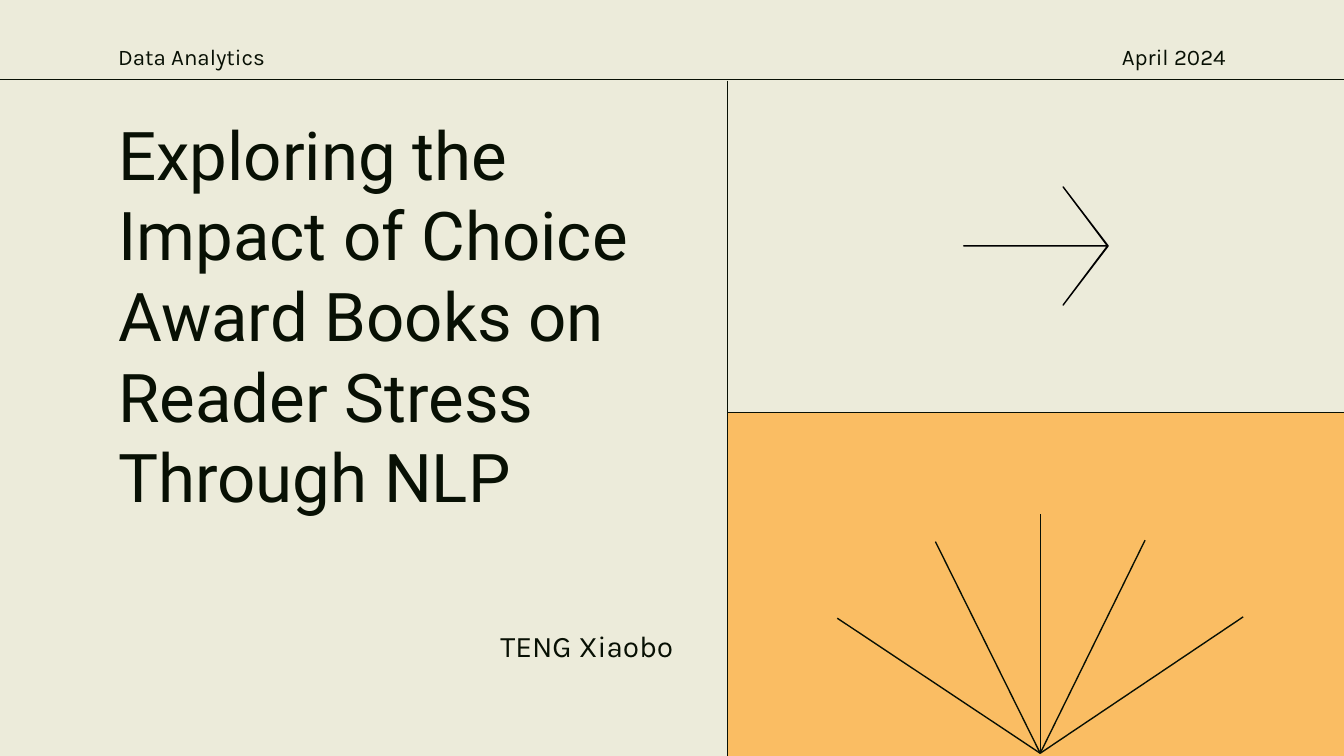
"""Build a title slide with a split panel, an arrow and a fan of rays."""
from dataclasses import dataclass
from typing import Any

from lxml import etree
from pptx import Presentation
from pptx.dml.color import RGBColor
from pptx.enum.shapes import MSO_CONNECTOR, MSO_SHAPE
from pptx.enum.text import MSO_ANCHOR, MSO_AUTO_SIZE, PP_ALIGN
from pptx.oxml.ns import qn
from pptx.util import Pt

PX = 4572
WIDE, HIGH = 2000, 1125
LEFT, RIGHT = PP_ALIGN.LEFT, PP_ALIGN.RIGHT
TOP, MID, LOW = MSO_ANCHOR.TOP, MSO_ANCHOR.MIDDLE, MSO_ANCHOR.BOTTOM
FIT_NONE = MSO_AUTO_SIZE.NONE
RECT = MSO_SHAPE.RECTANGLE
STRAIGHT = MSO_CONNECTOR.STRAIGHT


@dataclass(frozen=True)
class Theme:
    ground: RGBColor = RGBColor(0xEC, 0xEB, 0xDA)
    ink: RGBColor = RGBColor(0x08, 0x10, 0x04)
    panel: RGBColor = RGBColor(0xFA, 0xBD, 0x63)
    arrow: RGBColor = RGBColor(0, 0, 0)
    head: str = "Roboto"
    body: str = "Karla"
    title: int = 36
    name: int = 16
    label: int = 12
    rule: float = 0.75


@dataclass(frozen=True)
class Box:
    x: int
    y: int
    w: int
    h: int

    def emu(self) -> tuple[int, int, int, int]:
        return self.x * PX, self.y * PX, self.w * PX, self.h * PX


@dataclass(frozen=True)
class Note:
    text: str
    box: Box
    font: str
    size: int
    align: PP_ALIGN
    anchor: MSO_ANCHOR


@dataclass(frozen=True)
class Line:
    x1: int
    y1: int
    x2: int
    y2: int


THEME = Theme()
SPLIT, FLOOR, INSET = 1083, 614, 20
TITLE = Note("Exploring the Impact of Choice Award Books on Reader Stress Through NLP",
             Box(156, 148, 824, 678), THEME.head, THEME.title, LEFT, TOP)
NAME = Note("TENG Xiaobo", Box(156, 917, 866, 90), THEME.body, THEME.name, RIGHT, LOW)
LABELS = [
    Note("Data Analytics", Box(156, 50, 362, 68), THEME.body, THEME.label, LEFT, MID),
    Note("April 2024", Box(1482, 50, 362, 68), THEME.body, THEME.label, RIGHT, MID),
]
RULES = [
    Line(0, 118, WIDE, 118),
    Line(SPLIT, 120, SPLIT, HIGH),
    Line(SPLIT, FLOOR, WIDE, FLOOR),
]
HUB = (1548, 1121)
TIPS = [(1246, 920), (1392, 806), (1548, 765), (1704, 804), (1850, 918)]
RAYS = [Line(*HUB, *tip) for tip in TIPS]
ARROW = [(1582, 278), (1648, 366), (1434, 366), (1648, 366), (1582, 454), (1649, 366)]


def write(shape: Any, note: Note) -> None:
    """Place a text shape and set its words."""
    shape.left, shape.top, shape.width, shape.height = note.box.emu()
    frame = shape.text_frame
    frame.text = note.text
    frame.word_wrap = True
    frame.auto_size = FIT_NONE
    frame.vertical_anchor = note.anchor
    frame.margin_left = frame.margin_right = INSET * PX
    frame.margin_top = frame.margin_bottom = INSET * PX
    para = frame.paragraphs[0]
    para.alignment = note.align
    para.space_before = Pt(0)
    para.font.name = note.font
    para.font.size = Pt(note.size)
    para.font.color.rgb = THEME.ink


def rule(shapes: Any, line: Line) -> None:
    """Draw one thin straight line."""
    ends = [v * PX for v in (line.x1, line.y1, line.x2, line.y2)]
    link = shapes.add_connector(STRAIGHT, *ends)
    link.line.color.rgb = THEME.ink
    link.line.width = Pt(THEME.rule)
    etree.SubElement(link._element.spPr, qn("a:effectLst"))


def panel(shapes: Any, box: Box) -> None:
    """Draw the plain colour panel."""
    shape = shapes.add_shape(RECT, *box.emu())
    shape.shadow.inherit = False
    shape.fill.solid()
    shape.fill.fore_color.rgb = THEME.panel
    shape.line.fill.background()


def arrow(shapes: Any, points: list[tuple[int, int]]) -> None:
    """Draw the thin arrow as one closed outline."""
    pen = shapes.build_freeform(*points[0], scale=PX)
    pen.add_line_segments(points[1:], close=True)
    shape = pen.convert_to_shape()
    shape.shadow.inherit = False
    shape.fill.solid()
    shape.fill.fore_color.rgb = THEME.arrow
    shape.line.color.rgb = THEME.arrow
    shape.line.width = Pt(THEME.rule)


def main() -> None:
    """Build and save the slide."""
    deck = Presentation()
    deck.slide_width, deck.slide_height = WIDE * PX, HIGH * PX
    slide = deck.slides.add_slide(deck.slide_layouts[0])
    slide.background.fill.solid()
    slide.background.fill.fore_color.rgb = THEME.ground
    shapes = slide.shapes
    write(shapes.title, TITLE)
    write(slide.placeholders[1], NAME)
    panel(shapes, Box(SPLIT, FLOOR, WIDE - SPLIT, HIGH - FLOOR))
    for note in LABELS:
        write(shapes.add_textbox(*note.box.emu()), note)
    for line in RULES:
        rule(shapes, line)
    arrow(shapes, ARROW)
    fan = shapes.add_group_shape()
    for ray in RAYS:
        rule(fan.shapes, ray)
    deck.save("out.pptx")


if __name__ == "__main__":
    main()
